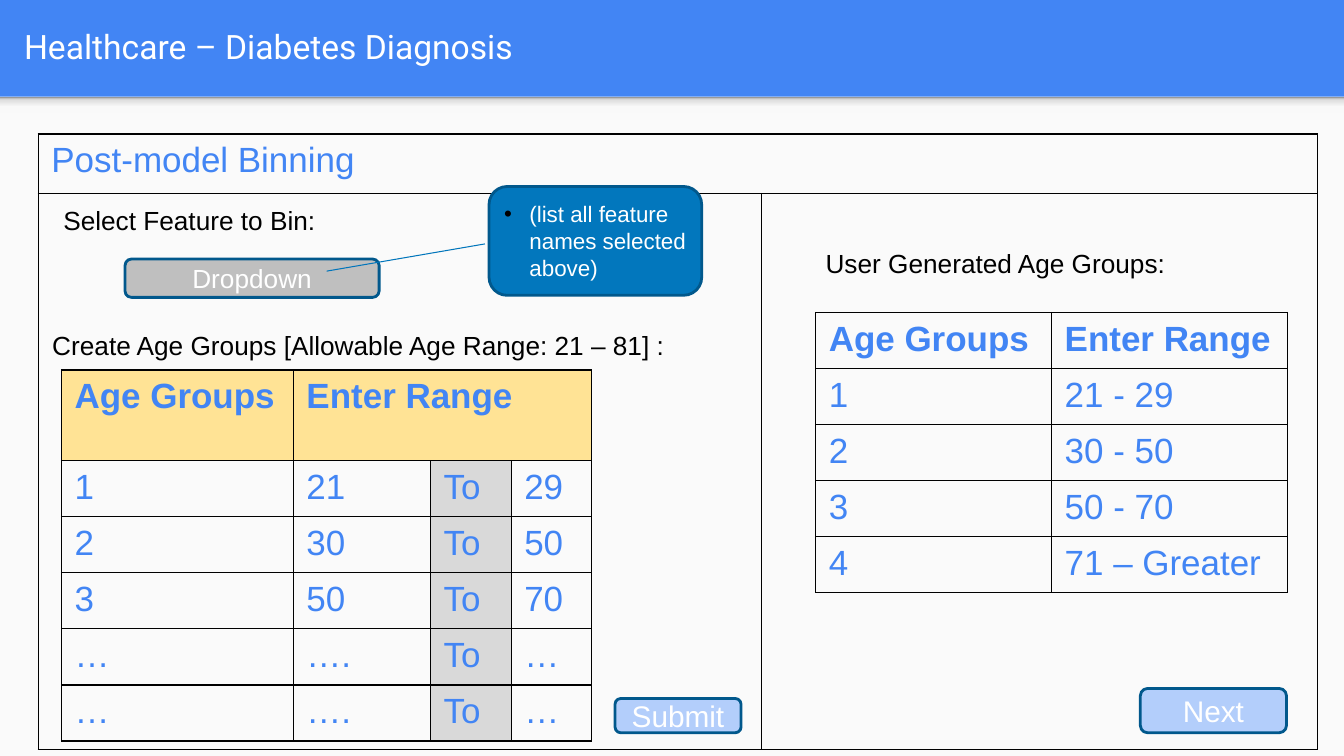
"""Build the post-model binning screen of the diabetes diagnosis slides."""
from dataclasses import dataclass

from lxml.etree import SubElement
from pptx import Presentation
from pptx.dml.color import RGBColor
from pptx.enum.shapes import MSO_CONNECTOR, MSO_SHAPE
from pptx.enum.text import MSO_ANCHOR, PP_ALIGN
from pptx.oxml import parse_xml
from pptx.oxml.ns import nsdecls, qn
from pptx.util import Inches, Pt


@dataclass(frozen=True)
class Theme:
    title_font: str = "Roboto"
    body_font: str = "Arial"
    blue: str = "4285F4"
    paper: str = "FAFAFA"
    white: str = "FFFFFF"
    black: str = "000000"
    outline: str = "01588C"
    callout: str = "0277BD"
    pointer: str = "0075BB"
    button: str = "B3CEFB"
    dropdown: str = "BFBFBF"
    header: str = "FFE395"
    separator: str = "D9D9D9"
    title_size: float = 24
    table_size: float = 25
    button_size: float = 21.3
    label_size: float = 18.7
    note_size: float = 16


THEME = Theme()
HEADER_SHADOW = [(0, "F9F9F9"), (36, "F9F9F9"), (80, "DEDEDE"), (100, "999999")]

TITLE = "Healthcare – Diabetes Diagnosis"
PANEL = [["Post-model Binning", ""], ["", ""]]
HEADINGS = ["Age Groups", "Enter Range"]
ENTRIES = [("1", "21", "29"), ("2", "30", "50"), ("3", "50", "70"),
           ("…", "….", "…"), ("…", "….", "…")]
ENTRY_ROWS = [HEADINGS + ["", ""]] + [[group, low, "To", high] for group, low, high in ENTRIES]
RESULT_ROWS = [HEADINGS, ["1", "21 - 29"], ["2", "30 - 50"], ["3", "50 - 70"],
               ["4", "71 – Greater"]]
LABELS = [("Select Feature to Bin:", (0.53, 1.98, 4.2, 0.42)),
          ("Create Age Groups [Allowable Age Range: 21 – 81] :", (0.42, 3.22, 6.84, 0.42)),
          ("User Generated Age Groups:", (8.09, 2.4, 4.2, 0.42))]
BUTTONS = [("Submit", (6.1, 6.93, 1.25, 0.34), THEME.button, THEME.button_size),
           ("Next", (11.31, 6.83, 1.45, 0.44), THEME.button, THEME.button_size),
           ("Dropdown", (1.24, 2.57, 2.52, 0.38), THEME.dropdown, THEME.label_size)]
NOTE = "(list all feature names selected above)"

deck = Presentation()
deck.slide_width, deck.slide_height = Inches(13.33), Inches(7.5)
slide = deck.slides.add_slide(deck.slide_layouts[6])
slide.background.fill.solid()
slide.background.fill.fore_color.rgb = RGBColor.from_string(THEME.blue)


def inches(lengths):
    return [Inches(length) for length in lengths]


def write(frame, text, size, color, font=THEME.body_font, bold=False):
    frame.word_wrap = True
    paragraph = frame.paragraphs[0]
    paragraph.text = text
    paragraph.font.name, paragraph.font.size = font, Pt(size)
    paragraph.font.bold = bold
    paragraph.font.color.rgb = RGBColor.from_string(color)
    return paragraph


def add_box(preset, box, fill, outline=None):
    shape = slide.shapes.add_shape(preset, *inches(box))
    shape.shadow.inherit = False
    shape.fill.solid()
    shape.fill.fore_color.rgb = RGBColor.from_string(fill)
    if outline:
        shape.line.color.rgb = RGBColor.from_string(outline)
        shape.line.width = Pt(2)
    else:
        shape.line.fill.background()
    return shape


def add_label(text, box, size=THEME.label_size, color=THEME.black, font=THEME.body_font):
    frame = slide.shapes.add_textbox(*inches(box)).text_frame
    write(frame, text, size, color, font)
    return frame


def add_control(text, box, fill, size):
    frame = add_box(MSO_SHAPE.ROUNDED_RECTANGLE, box, fill, THEME.outline).text_frame
    frame.vertical_anchor = MSO_ANCHOR.MIDDLE
    paragraph = write(frame, text, size, THEME.white)
    paragraph.alignment = PP_ALIGN.CENTER
    return paragraph


def add_borders(cell):
    properties = cell._tc.get_or_add_tcPr()
    for position, side in enumerate("LRTB"):
        properties.insert(position, parse_xml(
            f'<a:ln{side} {nsdecls("a")} w="12700"><a:solidFill>'
            f'<a:srgbClr val="{THEME.black}"/></a:solidFill></a:ln{side}>'))


def add_grid(rows, left, top, widths, heights, fill_of=lambda row, col: None, bold_head=True):
    table = slide.shapes.add_table(
        len(rows), len(widths), *inches((left, top, sum(widths), sum(heights)))).table
    table.first_row = table.horz_banding = False
    for column, width in zip(table.columns, widths):
        column.width = Inches(width)
    for line, height in zip(table.rows, heights):
        line.height = Inches(height)
    for row, texts in enumerate(rows):
        for col, text in enumerate(texts):
            cell = table.cell(row, col)
            cell.margin_left = cell.margin_right = Inches(0.13)
            cell.margin_top = cell.margin_bottom = Inches(0.07)
            write(cell.text_frame, text, THEME.table_size, THEME.blue,
                  bold=bold_head and row == 0)
            fill = fill_of(row, col)
            if fill:
                cell.fill.solid()
                cell.fill.fore_color.rgb = RGBColor.from_string(fill)
            else:
                cell.fill.background()
            add_borders(cell)
    return table


def entry_fill(row, col):
    if row == 0:
        return THEME.header
    return THEME.separator if col == 2 else None


add_box(MSO_SHAPE.RECTANGLE, (0, 0.96, 13.33, 6.54), THEME.paper)
shadow = add_box(MSO_SHAPE.RECTANGLE, (0, 0.96, 13.33, 0.16), THEME.paper)
stops = "".join(f'<a:gs pos="{place * 1000}"><a:srgbClr val="{color}"/></a:gs>'
                for place, color in HEADER_SHADOW)
solid = shadow._element.spPr.find(qn("a:solidFill"))
solid.getparent().replace(solid, parse_xml(
    f'<a:gradFill {nsdecls("a")}><a:gsLst>{stops}</a:gsLst>'
    '<a:lin ang="16200000" scaled="0"/></a:gradFill>'))

title = add_label(TITLE, (0.14, 0.02, 12.87, 0.88), THEME.title_size, THEME.white,
                  THEME.title_font)
title.vertical_anchor = MSO_ANCHOR.MIDDLE

panel = add_grid(PANEL, 0.38, 1.33, [7.17, 5.52], [0.59, 5.52], bold_head=False)
panel.cell(0, 0).merge(panel.cell(0, 1))
entry = add_grid(ENTRY_ROWS, 0.61, 3.67, [2.3, 1.36, 0.8, 0.8],
                 [0.9] + [0.55] * len(ENTRIES), entry_fill)
entry.cell(0, 1).merge(entry.cell(0, 3))
add_grid(RESULT_ROWS, 8.09, 3.1, [2.34] * 2, [0.55] * len(RESULT_ROWS))

for label in LABELS:
    add_label(*label)
for button in BUTTONS:
    add_control(*button)

note = add_control(NOTE, (4.85, 1.85, 2.11, 1.08), THEME.callout, THEME.note_size)
note.alignment = PP_ALIGN.LEFT
indent = note._p.get_or_add_pPr()
indent.set("marL", str(Inches(0.25)))
indent.set("indent", str(-Inches(0.25)))
bullet = [parse_xml(f'<a:buClr {nsdecls("a")}><a:srgbClr val="{THEME.black}"/></a:buClr>'),
          parse_xml(f'<a:buFont {nsdecls("a")} typeface="{THEME.body_font}"/>'),
          parse_xml(f'<a:buChar {nsdecls("a")} char="•"/>')]
for position, part in enumerate(bullet):
    indent.insert(position, part)

pointer = slide.shapes.add_connector(MSO_CONNECTOR.STRAIGHT, *inches((3.24, 2.69, 4.81, 2.42)))
pointer.line.color.rgb = RGBColor.from_string(THEME.pointer)
pointer.line.width = Pt(0.75)
SubElement(pointer._element.spPr, qn("a:effectLst"))

deck.save("out.pptx")
